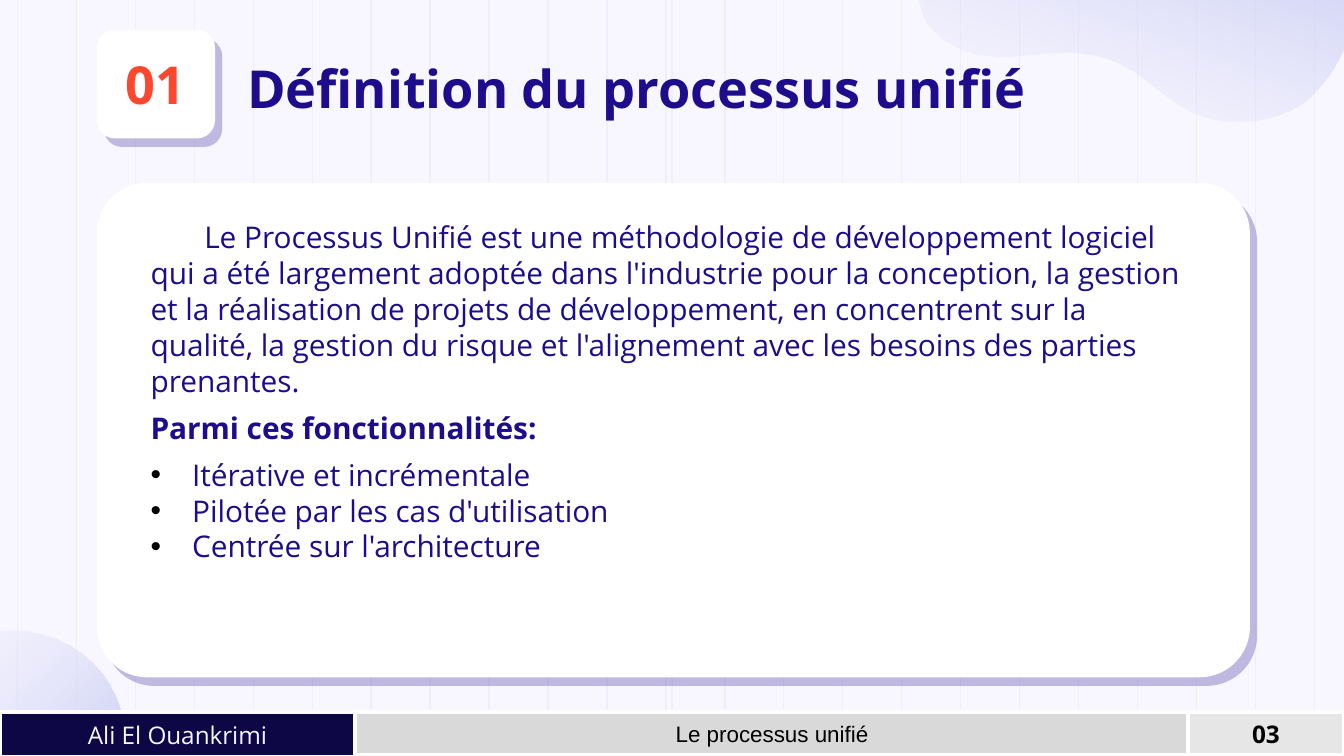
"""Build the slide that defines the unified process."""
from lxml import etree
from pptx import Presentation
from pptx import util as u
from pptx.dml.color import RGBColor
from pptx.enum import shapes, text
from pptx.oxml import parse_xml
from pptx.oxml import ns

NAVY = "1D0D8D"
SHADOW = (
    f'<a:effectLst {ns.nsdecls("a")}><a:outerShdw blurRad="0" dist="76200" dir="3000000" '
    f'algn="bl" rotWithShape="0"><a:srgbClr val="{NAVY}"><a:alpha val="25000"/>'
    '</a:srgbClr></a:outerShdw></a:effectLst>'
)


def color(value):
    return RGBColor.from_string(value)


def add_run(paragraph, words, size, value, bold=False, name="Open Sans"):
    run = paragraph.add_run()
    run.text = words
    run.font.size = u.Pt(size)
    run.font.name = name
    run.font.bold = bold
    run.font.color.rgb = color(value)


presentation = Presentation()
presentation.slide_width = u.Inches(10)
presentation.slide_height = u.Pt(405)
slide = presentation.slides.add_slide(presentation.slide_layouts[1])
slide.background.fill.solid()
slide.background.fill.fore_color.rgb = color("F8F6FF")
title, body = slide.placeholders

grid_step = (9.78 - 0.13) / 22
for x in [0.13 + grid_step * index for index in range(23)] + [5]:
    grid_line = slide.shapes.add_connector(
        shapes.MSO_CONNECTOR.STRAIGHT, u.Inches(x), u.Inches(-0.28), u.Inches(x), u.Inches(5.91))
    grid_line.line.color.rgb = color("EFEEFC")
    grid_line.line.width = u.Pt(0.75)
    etree.SubElement(grid_line.element.spPr, ns.qn("a:effectLst"))

start = (7.07, -0.39)
curves = [
    ((7.04, -0.38), (7.02, -0.36), (7, -0.34)),
    ((6.89, -0.25), (6.82, -0.1), (6.85, 0.04)),
    ((6.88, 0.22), (7.05, 0.34), (7.22, 0.39)),
    ((7.4, 0.44), (7.58, 0.42), (7.77, 0.4)),
    ((7.95, 0.39), (8.14, 0.39), (8.3, 0.46)),
    ((8.5, 0.54), (8.64, 0.72), (8.84, 0.82)),
    ((9.12, 0.96), (9.52, 0.93), (9.75, 0.72)),
    ((9.96, 0.51), (10.17, 0.14), (10, -0.22)),
    ((9.88, -0.48), (9.58, -0.83), (9.32, -0.85)),
    ((9.32, -0.85), (8.49, -1.18), start),
]
outline = []
point = start
for first, second, end in curves:
    for t in [step / 12 for step in range(1, 13)]:
        outline.append([
            u.Inches((1 - t) ** 3 * a + 3 * (1 - t) ** 2 * t * b + 3 * (1 - t) * t ** 2 * c + t ** 3 * d)
            for a, b, c, d in zip(point, first, second, end)])
    point = end
builder = slide.shapes.build_freeform(u.Inches(start[0]), u.Inches(start[1]))
builder.add_line_segments(outline, close=True)
top_blob = builder.convert_to_shape()
bottom_blob = slide.shapes.add_shape(
    shapes.MSO_SHAPE.OVAL, u.Inches(-0.7), u.Inches(4.69), u.Inches(1.63), u.Inches(1.63))

for blob, angle in [(top_blob, 71), (bottom_blob, 315)]:
    blob.shadow.inherit = False
    blob.line.fill.background()
    blob.fill.gradient()
    blob.fill.gradient_angle = angle
    for stop, position, value in zip(blob.fill.gradient_stops, (0, 1), ("EFEEFC", "9BA6E9")):
        stop.position = position
        stop.color.rgb = color(value)
    for tone, alpha in zip(blob.element.spPr.xpath(".//a:srgbClr"), ("13000", "69000")):
        etree.SubElement(tone, ns.qn("a:alpha")).set("val", alpha)

for left, top, width, height, corner in [
    (0.72, 1.36, 8.58, 3.68, 0.102),
    (0.72, 0.22, 0.88, 0.81, 0.167),
]:
    card = slide.shapes.add_shape(
        shapes.MSO_SHAPE.ROUNDED_RECTANGLE,
        u.Inches(left), u.Inches(top), u.Inches(width), u.Inches(height))
    card.adjustments[0] = corner
    card.fill.solid()
    card.fill.fore_color.rgb = color("FFFFFF")
    card.line.fill.background()
    card.element.spPr.append(parse_xml(SHADOW))

number = slide.shapes.add_textbox(0, 0, 0, 0)
for shape, left, top, width, height, anchor in [
    (title, 1.74, 0.32, 8.44, 0.77, text.MSO_ANCHOR.TOP),
    (body, 1.02, 1.53, 7.95, 3.18, text.MSO_ANCHOR.TOP),
    (number, 0.56, 0.19, 1.19, 0.87, text.MSO_ANCHOR.MIDDLE),
]:
    shape.left, shape.top = u.Inches(left), u.Inches(top)
    shape.width, shape.height = u.Inches(width), u.Inches(height)
    frame = shape.text_frame
    frame.word_wrap = True
    frame.auto_size = text.MSO_AUTO_SIZE.NONE
    frame.vertical_anchor = anchor
    frame.margin_left = frame.margin_right = u.Inches(0.1)
    frame.margin_top = frame.margin_bottom = u.Inches(0.1)
    shape.element.getparent().append(shape.element)

heading = title.text_frame.paragraphs[0]
heading.alignment = text.PP_ALIGN.LEFT
add_run(heading, "Définition du processus unifié", 28, NAVY, True)

digits = number.text_frame.paragraphs[0]
digits.alignment = text.PP_ALIGN.CENTER
add_run(digits, "01", 28, "FC462D", True)

definition = (
    "Le Processus Unifié est une méthodologie de développement logiciel qui a été largement "
    "adoptée dans l'industrie pour la conception, la gestion et la réalisation de projets de "
    "développement, en concentrent sur la qualité, la gestion du risque et l'alignement avec "
    "les besoins des parties prenantes.")
for index, (words, bold, before, margin, indent, bullet) in enumerate([
    (definition, False, 0, 0, 0.4, False),
    ("Parmi ces fonctionnalités:", True, 6, 0, 0, False),
    ("Itérative et incrémentale", False, 6, 0.31, -0.31, True),
    ("Pilotée par les cas d'utilisation", False, 0, 0.31, -0.31, True),
    ("Centrée sur l'architecture", False, 0, 0.31, -0.31, True),
]):
    paragraph = body.text_frame.add_paragraph() if index else body.text_frame.paragraphs[0]
    paragraph.alignment = text.PP_ALIGN.LEFT
    paragraph.line_spacing = 1.0
    paragraph.space_before = u.Pt(before)
    properties = paragraph._p.get_or_add_pPr()
    properties.set("marL", str(u.Inches(margin)))
    properties.set("indent", str(u.Inches(indent)))
    if bullet:
        bullet_color = etree.SubElement(properties, ns.qn("a:buClr"))
        etree.SubElement(bullet_color, ns.qn("a:srgbClr")).set("val", "000000")
        etree.SubElement(properties, ns.qn("a:buFont")).set("typeface", "Arial")
        etree.SubElement(properties, ns.qn("a:buChar")).set("char", "•")
    else:
        etree.SubElement(properties, ns.qn("a:buNone"))
    add_run(paragraph, words, 16, NAVY, bold)

for left, width, height, fill, words, size, ink, bold, name in [
    (2.64, 6.21, 0.32, "D9D9D9", "Le processus unifié", 12, "000000", False, "Arial"),
    (0, 2.64, 0.33, "0E0746", "Ali El Ouankrimi", 13, "F8F6FF", False, "Open Sans"),
    (8.84, 1.16, 0.32, "E7E6E6", "03", 13, "000000", True, "Open Sans"),
]:
    footer = slide.shapes.add_shape(
        shapes.MSO_SHAPE.RECTANGLE, u.Inches(left), u.Inches(5.3), u.Inches(width), u.Inches(height))
    footer.shadow.inherit = False
    footer.fill.solid()
    footer.fill.fore_color.rgb = color(fill)
    footer.line.color.rgb = color("FFFFFF")
    footer.line.width = u.Pt(2)
    footer.text_frame.vertical_anchor = text.MSO_ANCHOR.MIDDLE
    label = footer.text_frame.paragraphs[0]
    label.alignment = text.PP_ALIGN.CENTER
    add_run(label, words, size, ink, bold, name)

presentation.save("out.pptx")
